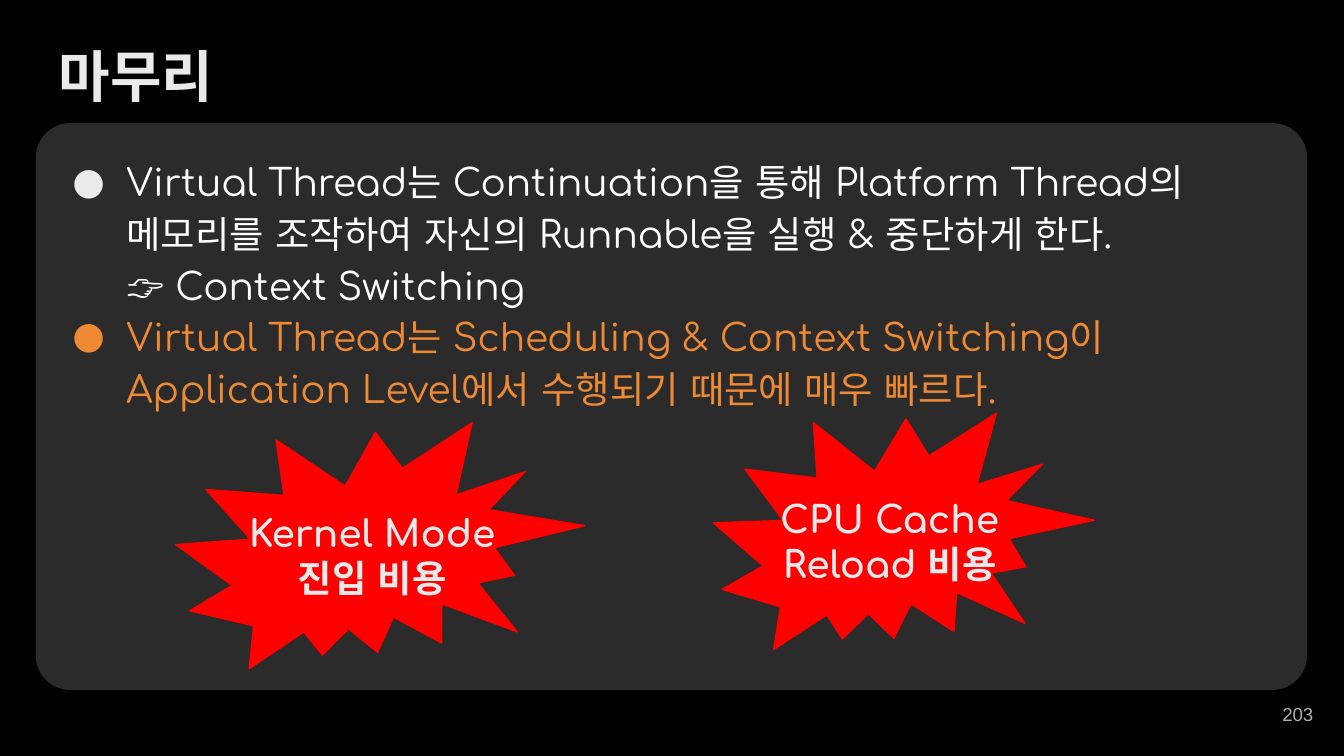
from copy import deepcopy

from lxml.etree import SubElement
from pptx import Presentation
from pptx.dml.color import RGBColor
from pptx.enum.shapes import MSO_SHAPE
from pptx.enum.text import MSO_ANCHOR, MSO_AUTO_SIZE, PP_ALIGN
from pptx.oxml.ns import qn
from pptx.util import Cm, Pt

BLACK = RGBColor(0x00, 0x00, 0x00)
GREY = RGBColor(0x2B, 0x2B, 0x2B)
PALE = RGBColor(0xEA, 0xEA, 0xEA)
DIM = RGBColor(0xAD, 0xAD, 0xAD)
WHITE = RGBColor(0xFF, 0xFF, 0xFF)
AMBER = RGBColor(0xEE, 0x89, 0x34)
RED = RGBColor(0xFF, 0x00, 0x00)

FACE = "Comfortaa"
HEAD = {"size": Pt(30), "bold": True, "name": FACE}
BODY = {"size": Pt(20), "bold": False, "name": FACE}
LABEL = {"size": Pt(20), "bold": True, "name": FACE}
SMALL = {"size": Pt(10), "bold": False, "name": "Arial"}

POINTS = [
    ("Virtual Thread는 Continuation을 통해 Platform Thread의 메모리를 조작하여 "
     "자신의 Runnable을 실행 & 중단하게 한다.\n👉 Context Switching", WHITE, PALE),
    ("Virtual Thread는 Scheduling & Context Switching이\n"
     "Application Level에서 수행되기 때문에 매우 빠르다.", AMBER, AMBER),
]
BURSTS = [
    ((3.35, 7.75, 7.59, 5.23), 8.6, 1.02, "Kernel Mode\n진입 비용"),
    ((13.51, 7.49, 7.04, 5.23), 11.7, 0.64, "CPU Cache\nReload 비용"),
]


def place(shape, box):
    """Move a shape to a box given in centimetres."""
    for key, val in zip(("left", "top", "width", "height"), box):
        setattr(shape, key, Cm(val))


def setup(shape, anchor=MSO_ANCHOR.TOP):
    """Give a text frame its margins, wrapping and anchor."""
    frame = shape.text_frame
    values = {"word_wrap": True, "auto_size": MSO_AUTO_SIZE.NONE,
              "vertical_anchor": anchor}
    sides = ("left", "top", "right", "bottom")
    values.update({f"margin_{side}": Cm(0.25) for side in sides})
    for key, val in values.items():
        setattr(frame, key, val)
    return frame


def write(para, text, style, color, align=PP_ALIGN.LEFT):
    """Fill a paragraph and style its runs and line breaks."""
    para.text = text
    para.alignment = align
    para.space_before = Pt(0)
    for run in para.runs:
        run.font.color.rgb = color
        for key, val in style.items():
            setattr(run.font, key, val)
        props = run.font._element
        SubElement(props, qn("a:ea"), typeface=style["name"])
    for gap in para._p.findall(qn("a:br")):
        gap.insert(0, deepcopy(props))


def bullet(para, color):
    """Add a round bullet with a hanging indent."""
    props = para._p.get_or_add_pPr()
    props.set("marL", str(Cm(1.27)))
    props.set("indent", str(-Cm(1.02)))
    tint = SubElement(props, qn("a:buClr"))
    SubElement(tint, qn("a:srgbClr"), val=str(color))
    SubElement(props, qn("a:buFont"), typeface=FACE)
    SubElement(props, qn("a:buChar"), char="●")


def solid(slide, kind, box, color):
    """Draw a flat shape with fill and line of one colour."""
    shape = slide.shapes.add_shape(kind, *map(Cm, box))
    shape.shadow.inherit = False
    shape.fill.solid()
    shape.fill.fore_color.rgb = color
    shape.line.color.rgb = color
    shape.line.width = Pt(0.75)
    return shape


def title(slide, box):
    """Set the slide title."""
    shape = slide.shapes.title
    place(shape, box)
    write(setup(shape).paragraphs[0], "마무리", HEAD, PALE)


def panel(slide, box):
    """Draw the rounded panel behind its bullet list."""
    x, y, w, h = box
    card = solid(slide, MSO_SHAPE.ROUNDED_RECTANGLE, box, GREY)
    card.adjustments[0] = 0.06
    slide.shapes.title.element.addprevious(card.element)
    body = slide.placeholders[1]
    place(body, (x + 0.18, y + 0.3, w - 0.15, 6.32))
    frame = setup(body)
    for i, (text, color, dot) in enumerate(POINTS):
        para = frame.add_paragraph() if i else frame.paragraphs[0]
        bullet(para, dot)
        write(para, text, BODY, color)
        para.line_spacing = 1.15


def burst(slide, box, angle, shift, text):
    """Draw a tilted burst with a level label over it."""
    x, y, w, h = box
    star = solid(slide, MSO_SHAPE.EXPLOSION2, box, RED)
    star.rotation = angle
    spot = (x + shift, y + 1.64, 5.33, 2.49)
    label = slide.shapes.add_textbox(*map(Cm, spot))
    write(setup(label).paragraphs[0], text, LABEL, PALE, PP_ALIGN.CENTER)


def number(slide, box):
    """Write the page number."""
    shape = slide.shapes.add_textbox(*map(Cm, box))
    frame = setup(shape, MSO_ANCHOR.MIDDLE)
    write(frame.paragraphs[0], "203", SMALL, DIM, PP_ALIGN.RIGHT)


def main():
    """Build the closing slide and save it."""
    deck = Presentation()
    deck.slide_width, deck.slide_height = Cm(25.4), Cm(14.29)
    slide = deck.slides.add_slide(deck.slide_layouts[1])
    slide.background.fill.solid()
    slide.background.fill.fore_color.rgb = BLACK
    title(slide, (0.86, 0.53, 21.87, 2.13))
    panel(slide, (0.69, 2.34, 24, 10.69))
    number(slide, (23.55, 12.95, 1.52, 1.09))
    for item in BURSTS:
        burst(slide, *item)
    deck.save("out.pptx")


if __name__ == "__main__":
    main()
